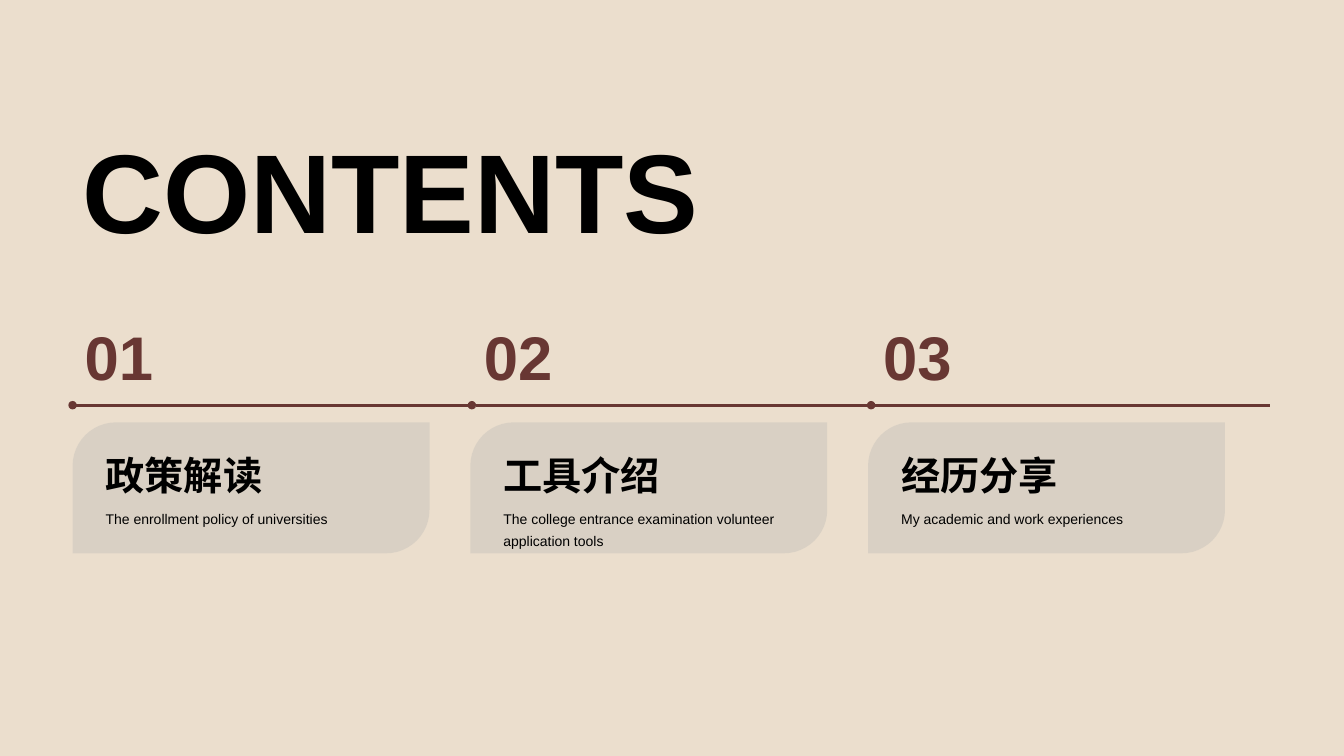
from lxml.etree import SubElement
from pptx import Presentation
from pptx.dml.color import RGBColor
from pptx.enum.shapes import MSO_CONNECTOR, MSO_SHAPE
from pptx.enum.text import MSO_ANCHOR, MSO_AUTO_SIZE, PP_ALIGN
from pptx.oxml.ns import qn
from pptx.util import Inches, Pt


def paint(target, color):
    target.rgb = RGBColor.from_string(color)


def write(shape, text, size, color="000000", bold=True, anchor=MSO_ANCHOR.BOTTOM,
          wrap=True, spacing=1.0):
    frame = shape.text_frame
    frame.text = text
    frame.word_wrap = wrap
    frame.auto_size = MSO_AUTO_SIZE.NONE
    frame.vertical_anchor = anchor
    para = frame.paragraphs[0]
    para.alignment = PP_ALIGN.LEFT
    para.line_spacing = spacing
    para.font.name = "Arial"
    para.font.size = Pt(size)
    para.font.bold = bold
    paint(para.font.color, color)
    return frame


deck = Presentation()
deck.slide_width, deck.slide_height = Inches(13.33), Inches(7.5)
slide = deck.slides.add_slide(deck.slide_layouts[5])
shapes = slide.shapes
slide.background.fill.solid()
paint(slide.background.fill.fore_color, "EBDECD")

title = shapes.title
title.left, title.top = Inches(0.72), Inches(1.31)
title.width, title.height = Inches(6.38), Inches(1.31)
write(title, "CONTENTS", 80, anchor=MSO_ANCHOR.TOP, wrap=False, spacing=0.9)

BROWN = "683733"
LEFT, STEP = 0.72, 3.96
CARD_STEP = 3.945
AXIS = 4.02
topics = [
    ("政策解读", "The enrollment policy of universities"),
    ("工具介绍", "The college entrance examination volunteer application tools"),
    ("经历分享", "My academic and work experiences"),
]

for i, (topic, detail) in enumerate(topics):
    x = LEFT + i * STEP
    line = shapes.add_connector(MSO_CONNECTOR.STRAIGHT, Inches(x), Inches(AXIS),
                                Inches(x + STEP), Inches(AXIS))
    line.line.width = Pt(2)
    paint(line.line.color, BROWN)
    props = line._element.spPr
    SubElement(props.find(qn("a:ln")), qn("a:headEnd"), type="oval")
    SubElement(props, qn("a:effectLst"))

    number = shapes.add_textbox(Inches(x), Inches(3.04), Inches(0.93), Inches(0.98))
    frame = write(number, f"{i + 1:02}", 44, BROWN, wrap=False)
    frame.margin_left = frame.margin_right = Inches(0.12)
    frame.margin_top = frame.margin_bottom = Inches(0.12)

    x = LEFT + i * CARD_STEP
    card = shapes.add_shape(MSO_SHAPE.ROUND_2_DIAG_RECTANGLE, Inches(x), Inches(4.19),
                            Inches(3.54), Inches(1.3))
    card.adjustments[0] = 0.332
    card.shadow.inherit = False
    card.line.fill.background()
    card.fill.solid()
    paint(card.fill.fore_color, "778495")
    tint = card._element.spPr.find(qn("a:solidFill"))[0]
    SubElement(tint, qn("a:alpha"), val="15000")

    x += 0.23
    head = shapes.add_textbox(Inches(x), Inches(4.42), Inches(2.94), Inches(0.57))
    write(head, topic, 28)
    note = shapes.add_textbox(Inches(x), Inches(4.97), Inches(2.94), Inches(0.54))
    write(note, detail, 10, bold=False, anchor=MSO_ANCHOR.TOP, spacing=1.3)

deck.save("out.pptx")
